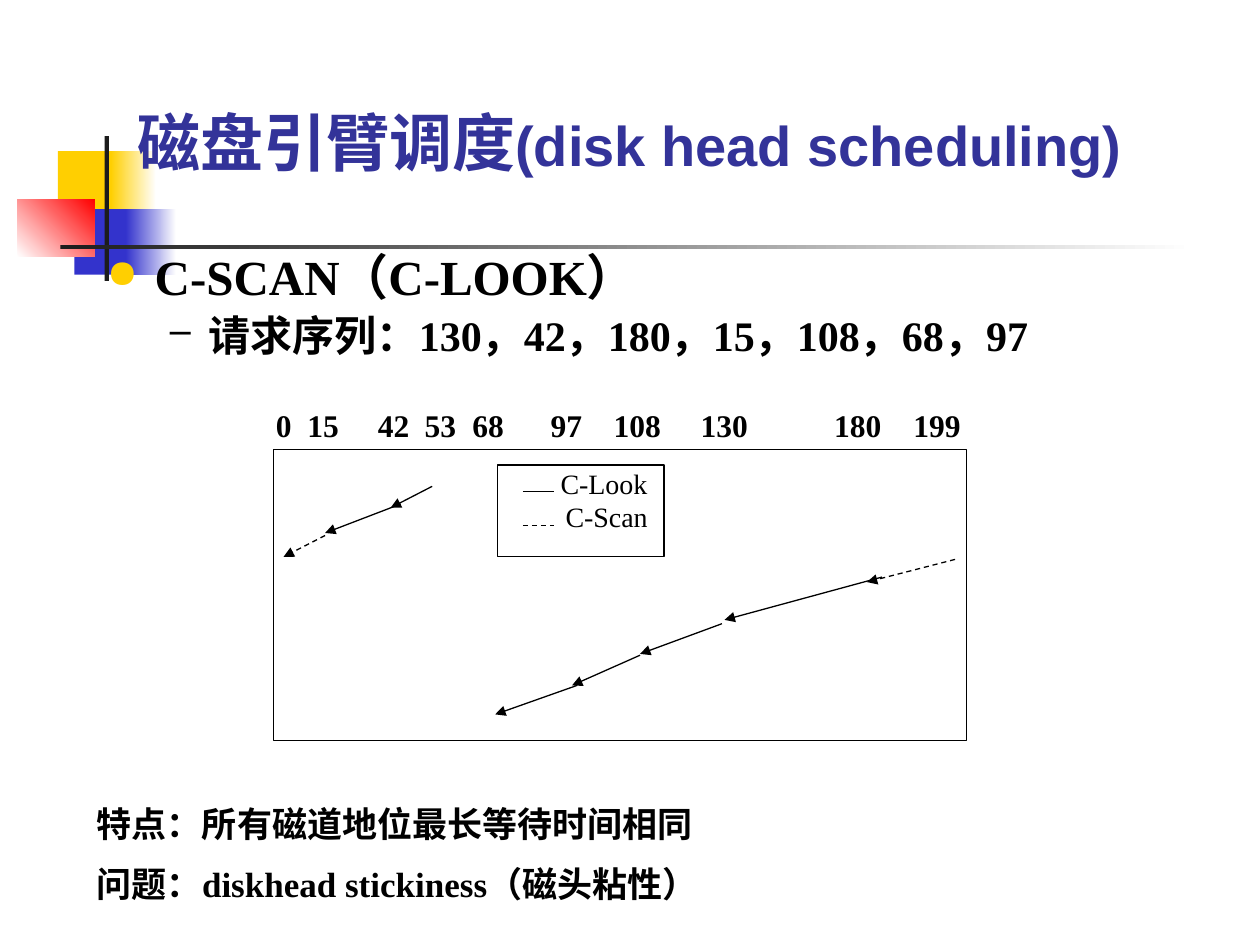
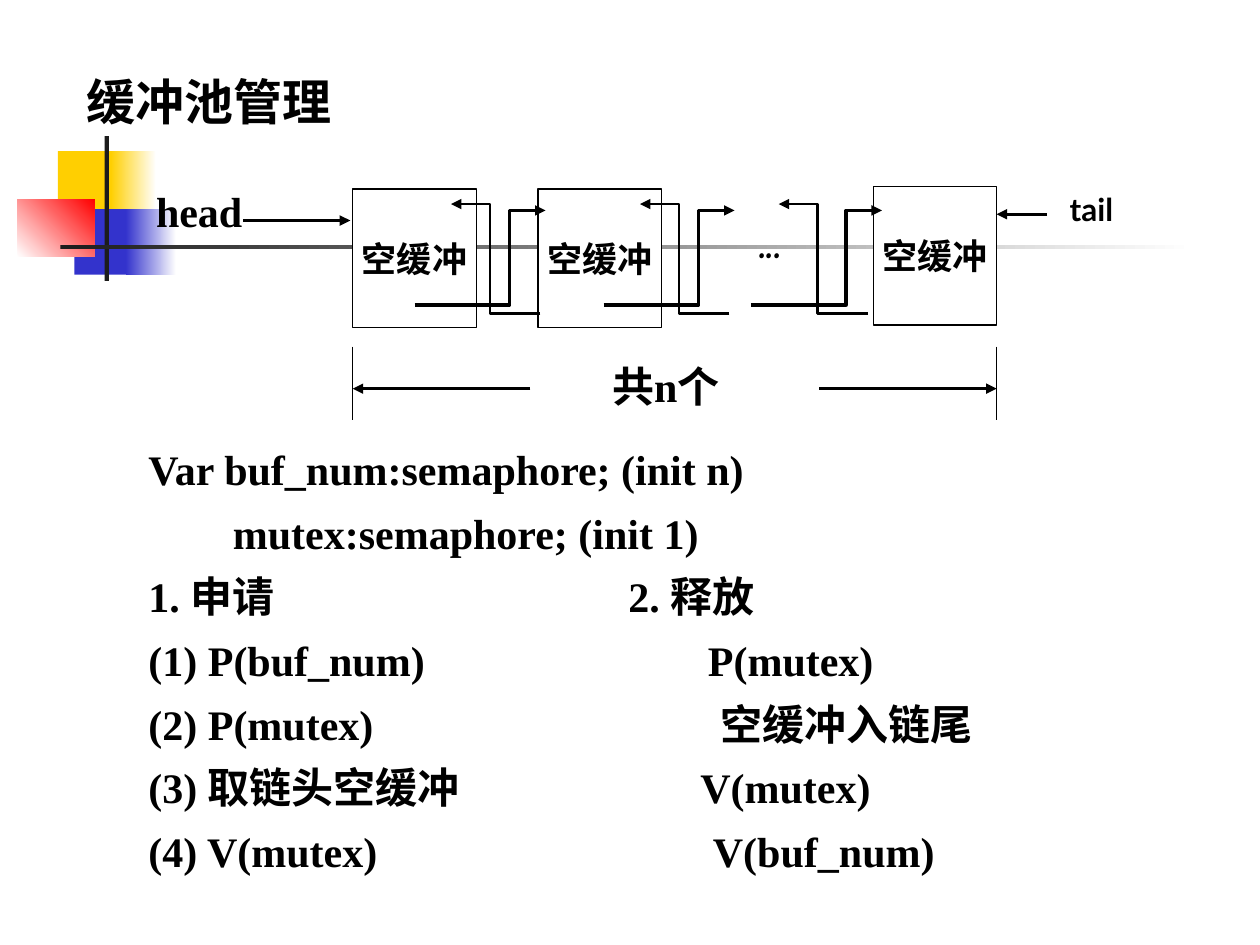
import lxml.etree
import pptx
import pptx.dml.color
import pptx.enum.dml
import pptx.enum.shapes
import pptx.enum.text
import pptx.oxml.ns
import pptx.util

COLUMNS, ROWS = 100, 75
SLIDE_WIDTH, SLIDE_HEIGHT = pptx.util.Inches(10), pptx.util.Inches(7.5)
BLACK, WHITE, CHARCOAL = "000000", "FFFFFF", "1C1C1C"
YELLOW, BLUE, RED, TITLE_BLUE = "FFCF01", "3333CC", "FF0000", "333399"
SERIF = "Times New Roman"
RECTANGLE = pptx.enum.shapes.MSO_SHAPE.RECTANGLE
MIDDLE = pptx.enum.text.MSO_ANCHOR.MIDDLE
CENTER = pptx.enum.text.PP_ALIGN.CENTER


def across(columns):
    return round(columns * SLIDE_WIDTH / COLUMNS)


def down(rows):
    return round(rows * SLIDE_HEIGHT / ROWS)


def place(box):
    """Turn left, top, width, height in grid units into lengths."""
    left, top, width, height = box
    return across(left), down(top), across(width), down(height)


def color(hex_string):
    return pptx.dml.color.RGBColor.from_string(hex_string)


def add_element(parent, tag, **attributes):
    return lxml.etree.SubElement(parent, pptx.oxml.ns.qn(tag), attributes)


def format_runs(paragraph, size, font=SERIF, ink=BLACK, bold=True):
    for run in paragraph.runs:
        run.font.size = pptx.util.Pt(size)
        run.font.name = font
        run.font.bold = bold
        run.font.color.rgb = color(ink)


def set_frame(frame, insets=(1, 0.5, 1, 0.5), anchor=None, wrap=True):
    left, top, right, bottom = insets
    frame.margin_left, frame.margin_right = across(left), across(right)
    frame.margin_top, frame.margin_bottom = down(top), down(bottom)
    frame.word_wrap = wrap
    if anchor is not None:
        frame.vertical_anchor = anchor


def write_lines(frame, lines, size, gap=0, spacing=None, align=None, **style):
    """Write one paragraph a line; gap is the space between them in points."""
    for index, line in enumerate(lines):
        paragraph = frame.paragraphs[0] if index == 0 else frame.add_paragraph()
        paragraph.text = line
        if index and gap:
            paragraph.space_before = pptx.util.Pt(gap)
        if spacing:
            paragraph.line_spacing = spacing
        if align is not None:
            paragraph.alignment = align
        format_runs(paragraph, size, **style)
    return frame.paragraphs


def add_text(slide, box, lines, size, insets=(1, 0.5, 1, 0.5), anchor=None, **style):
    frame = slide.shapes.add_textbox(*place(box)).text_frame
    set_frame(frame, insets, anchor)
    return write_lines(frame, lines, size, **style)


def set_tabs(paragraph, stops):
    tabs = add_element(paragraph._p.get_or_add_pPr(), "a:tabLst")
    for stop in stops:
        add_element(tabs, "a:tab", pos=str(across(stop)), algn="l")


def set_indent(paragraph, margin, hanging=0):
    properties = paragraph._p.get_or_add_pPr()
    properties.set("marL", str(across(margin)))
    properties.set("indent", str(-across(hanging)))
    return properties


def set_bullet(paragraph, symbol, ink, percent, margin, hanging):
    properties = set_indent(paragraph, margin, hanging)
    add_element(add_element(properties, "a:buClr"), "a:srgbClr", val=ink)
    add_element(properties, "a:buSzPct", val=str(percent * 1000))
    add_element(properties, "a:buChar", char=symbol)


def add_block(slide, box, start, end=None, angle=0):
    """Add a borderless rectangle, plain or fading from start to end."""
    block = slide.shapes.add_shape(RECTANGLE, *place(box))
    block.shadow.inherit = False
    block.line.fill.background()
    if end is None:
        block.fill.solid()
        block.fill.fore_color.rgb = color(start)
    else:
        block.fill.gradient()
        block.fill.gradient_angle = angle
        for stop, ink in zip(block.fill.gradient_stops, (start, end)):
            stop.color.rgb = color(ink)


def add_frame(slide, box, fill=None):
    frame = slide.shapes.add_shape(RECTANGLE, *place(box))
    frame.shadow.inherit = False
    if fill:
        frame.fill.solid()
        frame.fill.fore_color.rgb = color(fill)
    else:
        frame.fill.background()
    draw_stroke(frame, 0.75)
    return frame


def draw_stroke(shape, weight, dashed=False, arrow=False):
    shape.line.color.rgb = color(BLACK)
    shape.line.width = pptx.util.Pt(weight)
    if dashed:
        shape.line.dash_style = pptx.enum.dml.MSO_LINE.DASH
    if arrow:
        stroke = shape._element.spPr.find(pptx.oxml.ns.qn("a:ln"))
        add_element(stroke, "a:tailEnd", type="triangle")


def add_line(slide, start, end, weight=0.75, **stroke):
    line = slide.shapes.add_connector(
        pptx.enum.shapes.MSO_CONNECTOR.STRAIGHT,
        across(start[0]), down(start[1]), across(end[0]), down(end[1]))
    draw_stroke(line, weight, **stroke)
    add_element(line._element.spPr, "a:effectLst")


def add_link(slide, start, bend, end, weight):
    """Draw a stepped arrow that turns at the column bend."""
    corners = [(bend, start[1]), (bend, end[1]), end]
    outline = slide.shapes.build_freeform(across(start[0]), down(start[1]))
    outline.add_line_segments([(across(x), down(y)) for x, y in corners], close=False)
    link = outline.convert_to_shape()
    link.shadow.inherit = False
    link.fill.background()
    draw_stroke(link, weight, arrow=True)


def add_decorated_slide(deck):
    slide = deck.slides.add_slide(deck.slide_layouts[6])
    add_block(slide, (4.6, 12, 4.8, 5.2), YELLOW)
    add_block(slide, (8.8, 12, 3.6, 5.2), YELLOW, WHITE)
    add_block(slide, (5.9, 16.6, 4.6, 5.2), BLUE)
    add_block(slide, (10, 16.6, 4, 5.2), BLUE, WHITE)
    add_block(slide, (1.4, 15.8, 6.1, 4.6), WHITE, RED, angle=45)
    add_block(slide, (8.3, 10.8, 0.35, 11.5), CHARCOAL)
    add_block(slide, (4.8, 19.45, 90, 0.35), CHARCOAL, WHITE)
    return slide


def add_seek_chart(slide):
    add_frame(slide, (21.7, 35.7, 55, 23.1))
    tracks = "0 15 42 53 68 97 108 130 180 199".split()
    labels = add_text(slide, (21.7, 32.2, 55, 4.1), ["\t".join(tracks)], 18,
                      insets=(0.2, 0, 0.2, 0))
    set_tabs(labels[0], (2.5, 8.1, 11.8, 15.6, 21.8, 26.8, 33.7, 44.3, 50.6))

    look_seeks = [
        ((34.3, 38.6), (31, 40.3)), ((31.8, 40), (25.8, 42.3)),
        ((70, 45.8), (57.5, 49.2)), ((57.3, 49.5), (50.8, 51.9)),
        ((50.8, 52), (45.4, 54.4)), ((45.8, 54.4), (39.3, 56.7)),
    ]
    scan_seeks = [((25.8, 42.5), (22.5, 44.2)), ((75.8, 44.4), (68.8, 46.2))]
    for seeks, dashed in ((look_seeks, False), (scan_seeks, True)):
        for start, end in seeks:
            add_line(slide, start, end, dashed=dashed, arrow=True)

    legend = add_frame(slide, (39.5, 36.9, 13.2, 7.3)).text_frame
    set_frame(legend, (1, 0.1, 1, 0.5), pptx.enum.text.MSO_ANCHOR.TOP)
    entries = write_lines(legend, ["C-Look", "C-Scan"], 16, bold=False,
                          align=pptx.enum.text.PP_ALIGN.LEFT)
    for entry, margin, row, dashed in zip(entries, (4, 4.4), (39, 41.7), (False, True)):
        set_indent(entry, margin)
        add_line(slide, (41.5, row), (44, row), dashed=dashed)


def build_scheduling_slide(deck):
    slide = add_decorated_slide(deck)
    title = add_text(slide, (7.5, 5, 85, 12.5), ["磁盘引臂调度"], 36, anchor=MIDDLE,
                     align=CENTER, font="Arial", ink=TITLE_BLUE)[0]
    title.add_run().text = "(disk head scheduling)"
    format_runs(title, 32, font="Arial", ink=TITLE_BLUE)
    title.runs[0].font.size = pptx.util.Pt(36)

    policy, requests = add_text(
        slide, (7.5, 19.6, 85, 10),
        ["C-SCAN（C-LOOK）", "请求序列：130，42，180，15，108，68，97"],
        28, gap=5, spacing=0.9)
    set_bullet(policy, "●", YELLOW, 80, 3.8, 3.8)
    requests.level = 1
    set_bullet(requests, "–", BLACK, 90, 8.1, 3.1)
    format_runs(requests, 24)

    add_seek_chart(slide)
    add_text(slide, (6.7, 63.2, 89.2, 9.3),
             ["特点：所有磁道地位最长等待时间相同", "问题：diskhead stickiness（磁头粘性）"],
             20, gap=10)


def add_buffer_chain(slide):
    for left, top in ((28, 15), (42.7, 15), (69.3, 14.8)):
        buffer = add_frame(slide, (left, top, 9.8, 11), WHITE).text_frame
        set_frame(buffer, anchor=MIDDLE, wrap=False)
        write_lines(buffer, ["空缓冲"], 20, align=CENTER)
    for left in (32.9, 47.9, 59.6):
        add_link(slide, (left, 24.2), left + 7.55, (left + 10.4, 16.7), 2)
    for right in (42.9, 57.9, 68.9):
        add_link(slide, (right, 24.9), right - 4, (right - 7.1, 16.2), 1.5)

    add_text(slide, (59.2, 16.7, 6.6, 5), ["..."], 24, font="Comic Neue")
    add_text(slide, (11.4, 14.2, 9.4, 5), ["head"], 24)
    add_line(slide, (19.3, 17.5), (27.8, 17.5), 2, arrow=True)
    add_text(slide, (83.9, 14.6, 7.9, 4), ["tail"], 18, font="Lato")
    add_line(slide, (83.1, 17), (79.1, 17), 1.5, arrow=True)

    for inner, edge in ((42.1, 28), (65, 79.1)):
        add_line(slide, (edge, 27.5), (edge, 33.3))
        add_line(slide, (inner, 30.85), (edge, 30.85), 1.75, arrow=True)
    add_text(slide, (47.6, 28.1, 12.3, 5), ["共n个"], 24)


def build_buffer_pool_slide(deck):
    slide = add_decorated_slide(deck)
    add_buffer_chain(slide)
    code = [
        ("Var buf_num:semaphore; (init n)", None),
        ("\tmutex:semaphore; (init 1)", 6.7),
        ("1. 申请\t2. 释放", 38.1),
        ("(1) P(buf_num)\tP(mutex)", 44.4),
        ("(2) P(mutex)\t空缓冲入链尾", 45.4),
        ("(3) 取链头空缓冲\tV(mutex)", 43.8),
        ("(4) V(mutex)\tV(buf_num)", 44.8),
    ]
    lines = add_text(slide, (10.8, 35.5, 78.3, 35.3), [text for text, _ in code],
                     24, gap=13.3, spacing=0.8)
    for line, (_, stop) in zip(lines, code):
        if stop:
            set_tabs(line, [stop])
    add_text(slide, (5.9, 5.2, 44.2, 5.7), ["缓冲池管理"], 28)


def main():
    deck = pptx.Presentation()
    deck.slide_width, deck.slide_height = SLIDE_WIDTH, SLIDE_HEIGHT
    build_scheduling_slide(deck)
    build_buffer_pool_slide(deck)
    deck.save("out.pptx")


if __name__ == "__main__":
    main()
